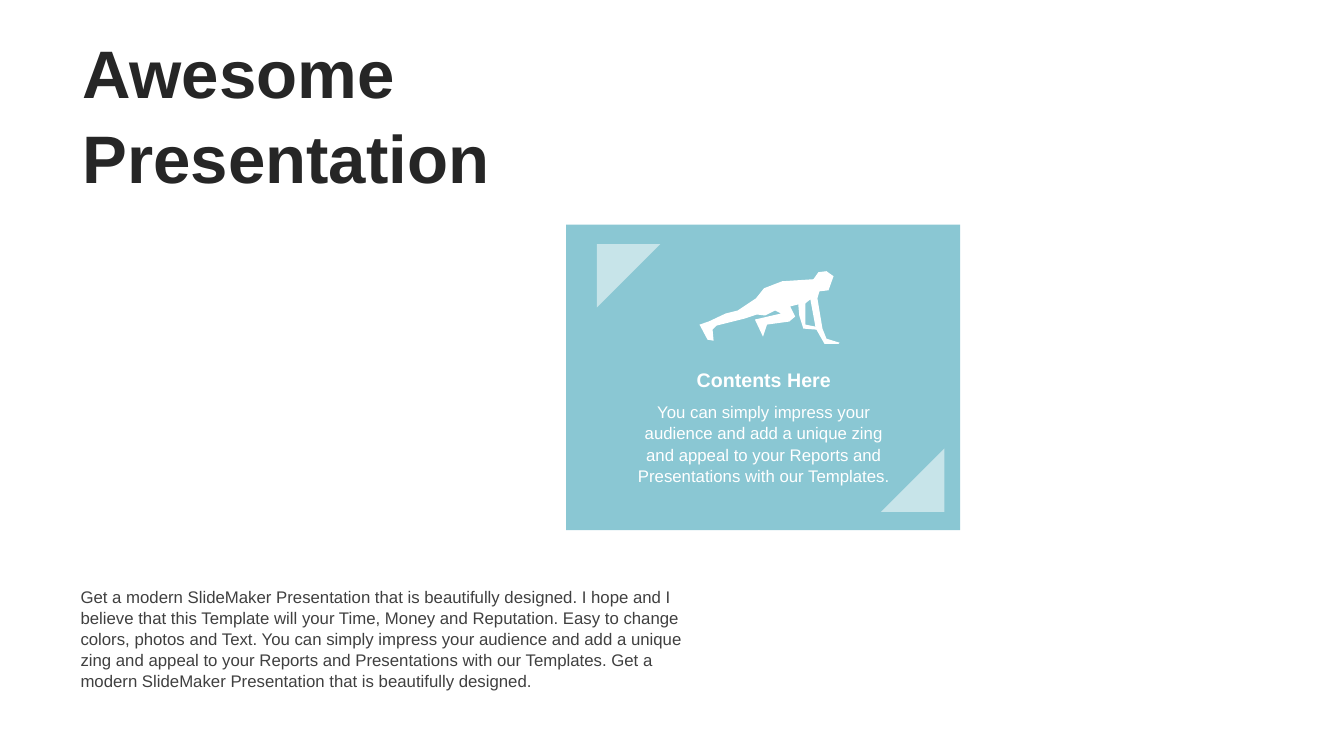
from lxml import etree
from pptx import Presentation
from pptx import util as u
from pptx.dml import color
from pptx.enum import shapes, text
from pptx.oxml import ns

BODY = [(833, 340), (820, 336), (816, 326), (811, 296), (813, 289), (822, 288), (827, 274),
        (820, 269), (812, 270), (807, 277), (776, 279), (758, 286), (750, 296), (732, 308),
        (720, 311), (703, 319), (694, 322), (702, 337), (708, 338), (707, 327), (711, 323),
        (739, 316), (751, 312), (759, 313), (769, 308), (775, 311), (749, 317), (757, 334),
        (761, 322), (783, 319), (789, 314), (784, 304), (792, 302), (793, 313), (797, 326),
        (810, 327), (818, 341), (832, 341)]
ARM_GAP = [(809, 324), (799, 322), (799, 301), (804, 297)]


def rgb(value):
    return color.RGBColor.from_string(value)


def paint(sp, fill, alpha=None):
    sp.shadow.inherit = False
    sp.fill.solid()
    sp.fill.fore_color.rgb = rgb(fill)
    sp.line.fill.background()
    if alpha is not None:
        clr = sp._element.spPr.find(".//" + ns.qn("a:srgbClr"))
        etree.SubElement(clr, ns.qn("a:alpha")).set("val", str(alpha * 1000))


def add_block(s, kind, box, fill, rotation=0, alpha=None):
    sp = s.shapes.add_shape(kind, *map(u.Cm, box))
    sp.rotation = rotation
    paint(sp, fill, alpha)


def add_text(s, content, box, size=12, fill="FFFFFF", bold=False,
             align=text.PP_ALIGN.LEFT, anchor=text.MSO_ANCHOR.TOP):
    tf = s.shapes.add_textbox(*map(u.Cm, box)).text_frame
    tf.word_wrap = True
    tf.auto_size = text.MSO_AUTO_SIZE.SHAPE_TO_FIT_TEXT
    tf.vertical_anchor = anchor
    for i, line in enumerate(content.split("\n")):
        p = tf.add_paragraph() if i else tf.paragraphs[0]
        p.alignment = align
        p.line_spacing = 1.05
        r = p.add_run()
        r.text = line
        r.font.name = "Arial"
        r.font.size = u.Pt(size)
        r.font.bold = bold
        r.font.color.rgb = rgb(fill)


def add_outline(s, contours, fill):
    builder = s.shapes.build_freeform(*contours[0][0], scale=u.Cm(2.54) / 100)
    for contour in contours:
        builder.move_to(*contour[0])
        builder.add_line_segments(contour[1:], close=True)
    paint(builder.convert_to_shape(), fill)


def main():
    prs = Presentation()
    prs.slide_width, prs.slide_height = u.Cm(33.87), u.Cm(19.05)
    s = prs.slides.add_slide(prs.slide_layouts[6])

    add_block(s, shapes.MSO_SHAPE.RECTANGLE, (14.27, 5.66, 9.93, 7.7), "8AC7D3")
    center = text.PP_ALIGN.CENTER
    add_text(s, "Contents Here", (15.82, 9.12, 6.86, 0.86), size=14, bold=True, align=center)
    impress = ("You can simply impress your audience and add a unique zing "
               "and appeal to your Reports and Presentations with our Templates.")
    add_text(s, impress, (15.82, 9.98, 6.86, 2.31), align=center)

    modern = "Get a modern SlideMaker Presentation that is beautifully designed."
    add_text(s, f"{modern} I hope and I believe that this Template will your Time, Money "
             f"and Reputation. Easy to change colors, photos and Text. {impress} {modern}",
             (1.78, 14.63, 16.38, 2.82), fill="404040")

    for left, top, rotation in ((15.04, 6.15, 90), (22.2, 11.3, 270)):
        add_block(s, shapes.MSO_SHAPE.RIGHT_TRIANGLE, (left, top, 1.6, 1.6),
                  "FFFFFF", rotation, alpha=52)

    add_text(s, "Awesome\nPresentation", (1.83, 0.64, 14.94, 4.37), size=48,
             fill="262626", bold=True, anchor=text.MSO_ANCHOR.MIDDLE)
    add_outline(s, (BODY, ARM_GAP), "FFFFFF")
    prs.save("out.pptx")


if __name__ == "__main__":
    main()
